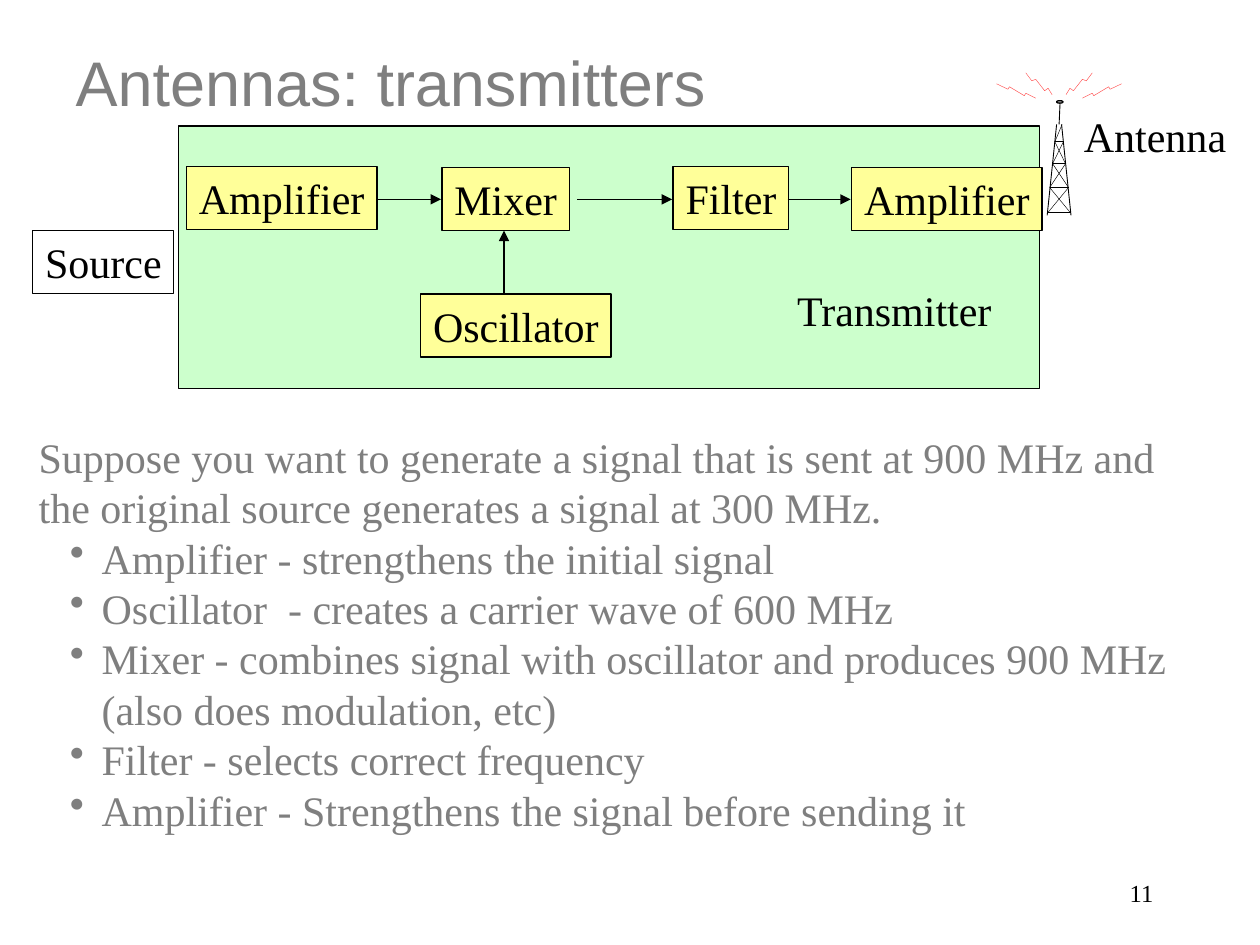
from itertools import pairwise

from lxml import etree
from pptx import Presentation
from pptx.dml.color import RGBColor
from pptx.enum.shapes import MSO_CONNECTOR, MSO_SHAPE
from pptx.enum.text import MSO_ANCHOR, PP_ALIGN
from pptx.oxml.ns import qn
from pptx.util import Cm, Pt

STRAIGHT = MSO_CONNECTOR.STRAIGHT
RECTANGLE, OVAL = MSO_SHAPE.RECTANGLE, MSO_SHAPE.OVAL
LEFT, RIGHT = PP_ALIGN.LEFT, PP_ALIGN.RIGHT
TOP, MIDDLE = MSO_ANCHOR.TOP, MSO_ANCHOR.MIDDLE
COLORS = {"black": "000000", "gray": "7F7F7F", "green": "CCFFCC",
          "yellow": "FFFF99", "red": "FF5050", "silver": "C0C0C0"}


def color(name):
    """Return the named colour."""
    return RGBColor.from_string(COLORS[name])


class SlideBuilder:
    """Holds the style and the slide being drawn."""

    serif, sans = "Times New Roman", "Arial"
    body_size, line_height = 24, 28.8
    line_width = 0.75

    def __init__(self, page):
        """Start on a page."""
        self.page = page

    def style(self, paragraph, size, font, tint, align=LEFT):
        """Format every run of a paragraph."""
        paragraph.alignment = align
        for span in paragraph.runs:
            span.font.size = Pt(size)
            span.font.name = font
            span.font.color.rgb = color(tint)

    def title(self, text, left, top, width, height):
        """Fill and place the title placeholder."""
        box = self.page.shapes.title
        box.left, box.top, box.width, box.height = map(Cm, (left, top, width, height))
        box.text_frame.text = text
        box.text_frame.vertical_anchor = MIDDLE
        self.style(box.text_frame.paragraphs[0], 36, self.sans, "gray")

    def set_text(self, box, text, size=body_size, tint="black", align=LEFT, wrap=False):
        """Put text, one paragraph a line, into a box."""
        frame = box.text_frame
        frame.word_wrap = wrap
        frame.vertical_anchor = TOP
        frame.text = text
        for paragraph in frame.paragraphs:
            self.style(paragraph, size, self.serif, tint, align)
            paragraph.line_spacing = Pt(size * self.line_height / self.body_size)

    def label(self, text, left, top, width, height=1.27, **options):
        """Add a text box."""
        box = self.page.shapes.add_textbox(Cm(left), Cm(top), Cm(width), Cm(height))
        self.set_text(box, text, **options)
        return box

    def shape(self, left, top, width, height, fill=None, text=None,
              kind=RECTANGLE, target=None):
        """Add an outlined preset shape, with optional fill and text."""
        shapes = (target or self.page).shapes
        box = shapes.add_shape(kind, Cm(left), Cm(top), Cm(width), Cm(height))
        box.shadow.inherit = False
        if fill:
            box.fill.solid()
            box.fill.fore_color.rgb = color(fill)
        else:
            box.fill.background()
        box.line.color.rgb = color("black")
        box.line.width = Pt(self.line_width)
        if text:
            self.set_text(box, text)

    def line(self, start, end, width=line_width, arrow=False, target=None):
        """Add a straight line or arrow."""
        line = (target or self.page).shapes.add_connector(
            STRAIGHT, *map(Cm, (*start, *end)))
        line.line.color.rgb = color("black")
        line.line.width = Pt(width)
        properties = line._element.spPr
        if arrow:
            etree.SubElement(properties.find(qn("a:ln")), qn("a:tailEnd"), type="triangle")
        etree.SubElement(properties, qn("a:effectLst"))

    def polyline(self, points, tint, width, target):
        """Add an open outline through the points."""
        start, *rest = [(Cm(x), Cm(y)) for x, y in points]
        builder = target.shapes.build_freeform(*start, scale=1.0)
        builder.add_line_segments(rest, close=False)
        outline = builder.convert_to_shape()
        outline.shadow.inherit = False
        outline.fill.background()
        outline.line.color.rgb = color(tint)
        outline.line.width = Pt(width)

    def bullet(self, paragraph):
        """Give a paragraph a hanging bullet."""
        paragraph.level = 1
        properties = paragraph._p.get_or_add_pPr()
        properties.set("marL", str(Cm(1.27)))
        properties.set("indent", str(-Cm(0.64)))
        etree.SubElement(properties, qn("a:buChar"), char="•")

    def tower(self, center):
        """Draw the radio mast and its waves about a vertical axis."""
        group = self.page.shapes.add_group_shape()
        bolts = [
            [(0.47, 1.98), (0.67, 1.88), (0.7, 1.93), (1, 1.75), (1.03, 1.8), (1.26, 1.69)],
            [(0.14, 1.91), (0.22, 1.78), (0.29, 1.83), (0.47, 1.6), (0.55, 1.63), (0.67, 1.47)],
        ]
        levels = [(0.09, 2.85), (0.13, 3.3), (0.19, 3.78), (0.23, 4.29)]
        for side in (-1, 1):
            for bolt in bolts:
                points = [(center + side * x, y) for x, y in bolt]
                self.polyline(points, "red", 0.25, group)
            self.line((center + side * 0.24, 4.34), (center + side * 0.05, 2.51), 0.5, target=group)
            for (upper, top), (lower, bottom) in pairwise(levels):
                self.line((center - side * upper, top), (center + side * lower, bottom),
                          0.25, target=group)
        for half, y in levels:
            self.line((center - half, y), (center + half, y), 0.5, target=group)
        self.line((center - 0.09, 2.87), (center + 0.06, 2.51), 0.25, target=group)
        self.line((center, 2.51), (center + 0.02, 2.06), 0.5, target=group)
        self.shape(center - 0.05, 2.03, 0.13, 0.05, "silver", kind=OVAL, target=group)


def main():
    """Build the slide and save it."""
    deck = Presentation()
    deck.slide_width, deck.slide_height = Cm(25.4), Cm(19.05)
    slide = SlideBuilder(deck.slides.add_slide(deck.slide_layouts[5]))

    slide.label("11", 18.21, 17.57, 5.29, size=14, align=RIGHT, wrap=True)
    slide.shape(3.6, 2.54, 17.35, 5.29, "green")
    slide.title("Antennas: transmitters", 1.27, 0.06, 21.59, 3.17)

    for text, left, top, width, fill in [
        ("Amplifier", 3.76, 3.36, 3.84, "yellow"),
        ("Oscillator", 8.48, 5.93, 3.84, "yellow"),
        ("Mixer", 8.91, 3.38, 2.57, "yellow"),
        ("Filter", 13.57, 3.36, 2.33, "yellow"),
        ("Amplifier", 17.17, 3.38, 3.84, "yellow"),
        ("Source", 0.66, 4.65, 2.84, None),
    ]:
        slide.shape(left, top, width, 1.27, fill, text)

    for start, end in [(7.62, 8.89), (11.64, 13.55), (15.88, 17.15)]:
        slide.line((start, 4.02), (end, 4.02), arrow=True)
    slide.line((10.16, 5.93), (10.16, 4.65), arrow=True)

    slide.tower(21.35)
    slide.label("Antenna", 21.6, 2.11, 3.38)
    slide.label("Transmitter", 15.82, 5.61, 4.44)

    body = slide.label("\n".join([
        "Suppose you want to generate a signal that is sent at 900 MHz and",
        "the original source generates a signal at 300 MHz.",
        "Amplifier - strengthens the initial signal",
        "Oscillator  - creates a carrier wave of 600 MHz",
        "Mixer - combines signal with oscillator and produces 900 MHz"
        " (also does modulation, etc)",
        "Filter - selects correct frequency",
        "Amplifier - Strengthens the signal before sending it",
    ]), 0.53, 8.57, 24.43, 8.38, tint="gray", wrap=True)
    for paragraph in body.text_frame.paragraphs[2:]:
        slide.bullet(paragraph)

    deck.save("out.pptx")


main()
